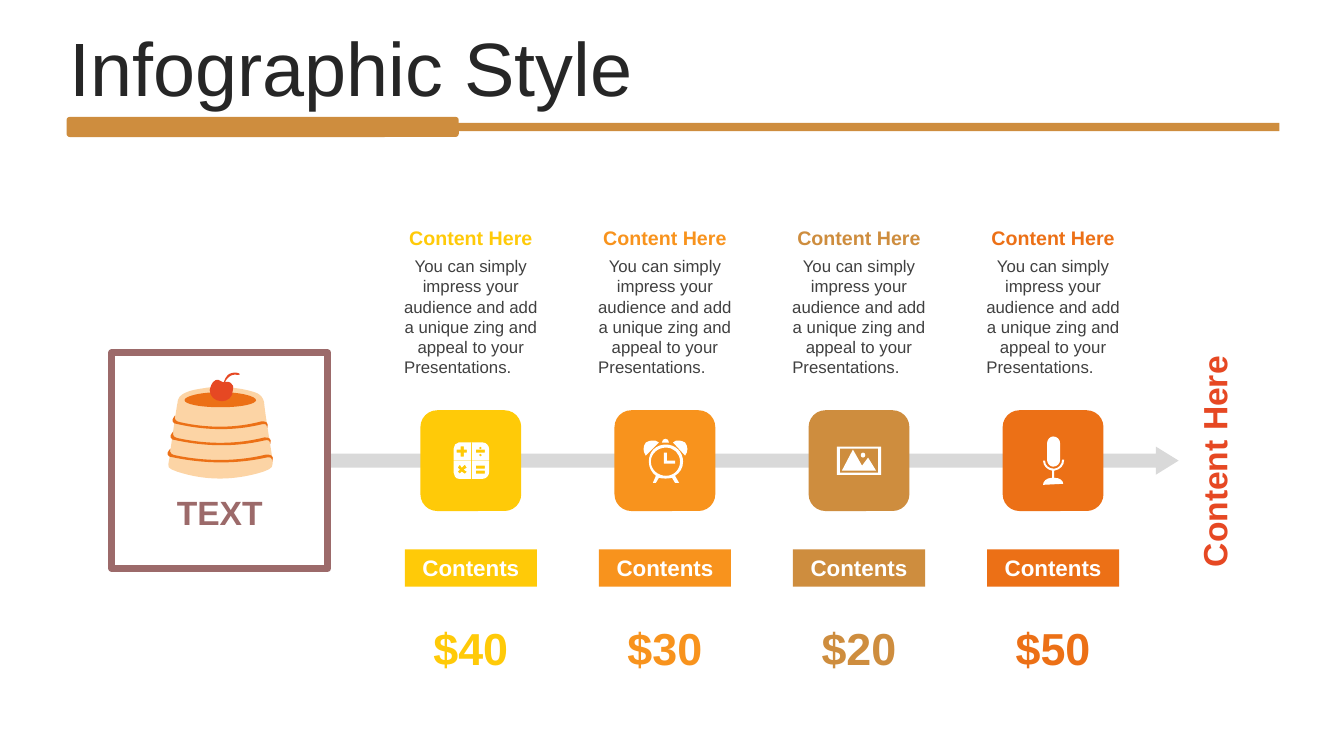
from pptx import Presentation
from pptx.dml.color import RGBColor
from pptx.enum.shapes import MSO_SHAPE
from pptx.enum.text import MSO_ANCHOR, PP_ALIGN
from pptx.oxml.ns import qn
from pptx.oxml.xmlchemy import OxmlElement
from pptx.util import Inches, Pt

COLORS = {
    "yellow": "FFCA08", "amber": "F8931D", "caramel": "CE8D3E", "orange": "EC7016",
    "red": "E64823", "mauve": "9C6A6A", "cream": "FCD4A5", "white": "FFFFFF",
    "silver": "D9D9D9", "ink": "262626", "gray": "404040",
}

CALCULATOR = """
M 22 28 L 22 31 L 31 31 L 31 28 M 22 23 L 22 26 L 31 26 L 31 23
M 6 22 L 4 25 L 6 27 L 4 29 L 6 31 L 8 29 L 11 31 L 13 29 L 10 27 L 13 25 L 11 22 L 8 25
M 18 18 L 35 18 L 35 30 C 35 33 32 36 29 36 L 18 36
M 0 18 L 17 18 L 17 36 L 5 36 C 2 36 0 33 0 30
M 26.5 11 L 25 12.5 L 26.5 14 L 28 12.5 M 22 7 L 22 10 L 31 10 L 31 7
M 7 4 L 7 7 L 3 7 L 3 10 L 7 10 L 7 14 L 10 14 L 10 10 L 13 10 L 13 7 L 10 7 L 10 4
M 26.5 4 L 25 5.5 L 26.5 7 L 28 5.5
M 5 0 L 29 0 C 32 0 35 3 35 6 L 35 17.5 L 18 17.5 L 18 0 L 17 0 L 17 17.5 L 0 17.5
L 0 6 C 0 3 2 0 5 0"""
ALARM_CLOCK = """
M 20 14 L 23 14 L 23 22 L 31 22 L 31 25 L 20 25
M 22 9 C 14 9 7 15 7 23 C 7 31 14 37 22 37 C 30 37 36 31 36 23 C 36 15 30 9 22 9
M 22 6 C 31 6 39 13 39 23 C 39 29 36 34 31 37 L 35 44 L 31 44 L 28 39
C 24 40 19 40 15 39 L 12 44 L 9 44 L 12 37 C 8 34 5 29 5 23 C 5 13 12 6 22 6
M 8 2 C 11 2 13 2 15 4 L 2 17 C -1 13 -1 8 2 4 C 4 3 6 2 8 2
M 35 2 C 37 2 39 3 41 4 C 44 8 44 13 41 17 L 29 4 C 30 2 33 2 35 2
M 18 4 C 18 -1 25 -1 25 4"""
LANDSCAPE = """
M 26 6 C 29 6 29 11 26 11 C 23 11 23 6 26 6 M 16 3 L 25 19 L 31 11 L 39 24 L 5 24
M 3 2 L 3 26 L 41 26 L 41 2 M 0 0 L 44 0 L 44 28 L 0 28"""
MICROPHONE = """
M 21 23 C 21 29 17 33 11 34 L 11 41 C 17 41 20 44 20 47 L 0 48 C 0 45 3 41 9 41
L 9 34 C 4 33 0 29 0 24 L 2 24 C 2 29 6 32 11 32 C 15 32 19 28 19 23
M 10 0 C 14 0 17 3 17 7 L 17 23 C 17 27 14 30 10 30 C 7 30 4 27 4 23 L 4 7 C 4 3 7 0 10 0"""
CAKE = """
M 104 70 C 104 69 96 21 96 15 C 95 11 93 8 89 6 C 68 -2 40 0 37 1 C 30 2 23 3 17 6
C 13 8 10 11 10 16 C 9 20 2 70 2 71 C 0 81 0 80 10 84 C 38 93 66 93 95 84
C 105 80 105 80 104 70"""
SYRUP = """
M 3 0 C 2 5 4 6 9 7 C 39 13 69 13 98 6 C 103 6 106 7 104 13 C 104 9 102 8 98 9
C 66 16 34 15 2 8 C -2 5 1 3 3 0"""
FILLING = """
M 71 8 C 71 12 55 15 36 15 C 16 15 0 12 0 8 C 0 4 16 0 36 0 C 55 0 71 4 71 8"""
CHERRY = """
M 23 17 C 24 13 23 12 21 10 C 18 8 17 9 15 9 C 16 7 18 5 19 4 C 21 2 25 1 28 2
C 30 2 31 1 28 0 C 25 -1 20 0 18 2 C 16 4 15 6 14 9 L 13 9
C 10 9 11 6 6 7 C 2 9 1 13 0 17 C 0 23 5 28 12 28 C 18 28 23 24 23 17"""

deck = Presentation()
deck.slide_width, deck.slide_height = Inches(13.33), Inches(7.5)
slide = deck.slides.add_slide(deck.slide_layouts[6])


def draw_outline(outline, left, top, color, stretch=1):
    contours, curved = [], []
    for contour in outline.split("M")[1:]:
        knots = []
        for step in contour.replace("L", "|L").replace("C", "|C").split("|"):
            numbers = [float(n) for n in step.strip("LC \n").split()]
            knots += [(Inches(left + x * stretch / 100), Inches(top + y / 100))
                      for x, y in zip(numbers[::2], numbers[1::2])]
            curved.append(step.startswith("C"))
        contours.append(knots)
    builder = slide.shapes.build_freeform(*contours[0][0])
    for index, knots in enumerate(contours):
        if index:
            builder.move_to(*knots[0])
        builder.add_line_segments(knots[1:], close=True)
    drawing = builder.convert_to_shape()
    geometry = next(drawing._element.iter(qn("a:path")))
    nodes = iter([node for node in geometry if node.tag != qn("a:close")])
    for is_curve in curved:
        node = next(nodes)
        if is_curve:
            curve = OxmlElement("a:cubicBezTo")
            node.addprevious(curve)
            for control in (node, next(nodes), next(nodes)):
                curve.append(control[0])
                geometry.remove(control)
    drawing.shadow.inherit = False
    drawing.fill.solid()
    drawing.fill.fore_color.rgb = RGBColor.from_string(COLORS[color])
    drawing.line.fill.background()


def add_label(left, top, width, height, text, size, color, bold=True,
              align=PP_ALIGN.CENTER, anchor=MSO_ANCHOR.MIDDLE):
    label = slide.shapes.add_textbox(*map(Inches, (left, top, width, height)))
    frame = label.text_frame
    frame.word_wrap = True
    frame.vertical_anchor = anchor
    frame.text = text
    for paragraph in frame.paragraphs:
        paragraph.alignment = align
        paragraph.font.name = "Arial"
        paragraph.font.size = Pt(size)
        paragraph.font.bold = bold
        paragraph.font.color.rgb = RGBColor.from_string(COLORS[color])
    return label


FIRST_CENTER, PITCH = 4.67, 1.925
TILE, TILE_TOP = 1, 4.07
offerings = [
    ("yellow", "$40", CALCULATOR, 0.33, 0.32),
    ("amber", "$30", ALARM_CLOCK, 0.29, 0.28),
    ("caramel", "$20", LANDSCAPE, 0.28, 0.36),
    ("orange", "$50", MICROPHONE, 0.4, 0.26),
]
centers = [FIRST_CENTER + PITCH * column for column in range(len(offerings))]

panels = [
    (MSO_SHAPE.RECTANGLE, 2.89, 1.22, 9.8, 0.08, "caramel", ()),
    (MSO_SHAPE.ROUNDED_RECTANGLE, 0.66, 1.16, 3.89, 0.2, "caramel", (0.16,)),
    (MSO_SHAPE.RIGHT_ARROW, 3.25, 4.43, 8.44, 0.28, "silver", (0.5, 0.81)),
    (MSO_SHAPE.RECTANGLE, 1.11, 3.5, 2.14, 2.14, "white", ()),
] + [
    (MSO_SHAPE.ROUNDED_RECTANGLE, center - TILE / 2, TILE_TOP, TILE, TILE, offering[0], ())
    for center, offering in zip(centers, offerings)
]
for kind, left, top, width, height, color, adjustments in panels:
    panel = slide.shapes.add_shape(kind, *map(Inches, (left, top, width, height)))
    panel.shadow.inherit = False
    panel.fill.solid()
    panel.fill.fore_color.rgb = RGBColor.from_string(COLORS[color])
    for index, adjustment in enumerate(adjustments):
        panel.adjustments[index] = adjustment
    if color == "white":
        panel.line.color.rgb = RGBColor.from_string(COLORS["mauve"])
        panel.line.width = Pt(5)
    else:
        panel.line.fill.background()

title = add_label(0.59, 0.32, 12.17, 0.79, "Infographic Style", 54, "ink", False, PP_ALIGN.LEFT)
title.text_frame.paragraphs[0].line_spacing = 0.9
title.text_frame.paragraphs[0].space_before = Pt(10)

draw_outline(CAKE, 1.66, 3.84, "cream")
for left, top, width in [(1.66, 4.45, 1.04), (1.69, 4.28, 0.99), (1.71, 4.12, 0.94)]:
    draw_outline(SYRUP, left, top, "orange", width / 1.04)
draw_outline(FILLING, 1.83, 3.89, "orange")
draw_outline(CHERRY, 2.08, 3.7, "red")
add_label(1.63, 4.83, 1.1, 0.5, "TEXT", 24, "mauve")
add_label(10.87, 4.33, 2.34, 0.5, "Content Here", 24, "red").rotation = 270

BLURB = ("You can simply impress your audience and add a unique zing and appeal to your\n"
         "Presentations.")
for center, (color, price, icon, icon_left, icon_top) in zip(centers, offerings):
    draw_outline(icon, center - TILE / 2 + icon_left, TILE_TOP + icon_top, "white")
    add_label(center - 0.79, 2.19, 1.58, 0.34, "Content Here", 14, color)
    blurb = add_label(center - 0.79, 2.49, 1.58, 1.31, BLURB, 12, "gray", False,
                      anchor=MSO_ANCHOR.TOP)
    closing = blurb.text_frame.paragraphs[-1]
    closing.alignment = PP_ALIGN.LEFT
    closing._p.get_or_add_pPr().set("marL", str(Inches(0.03)))
    banner = add_label(center - 0.655, 5.45, 1.31, 0.37, "Contents", 16, "white")
    banner.fill.solid()
    banner.fill.fore_color.rgb = RGBColor.from_string(COLORS[color])
    add_label(center - 0.565, 6.1, 1.13, 0.64, price, 32, color)

deck.save("out.pptx")
